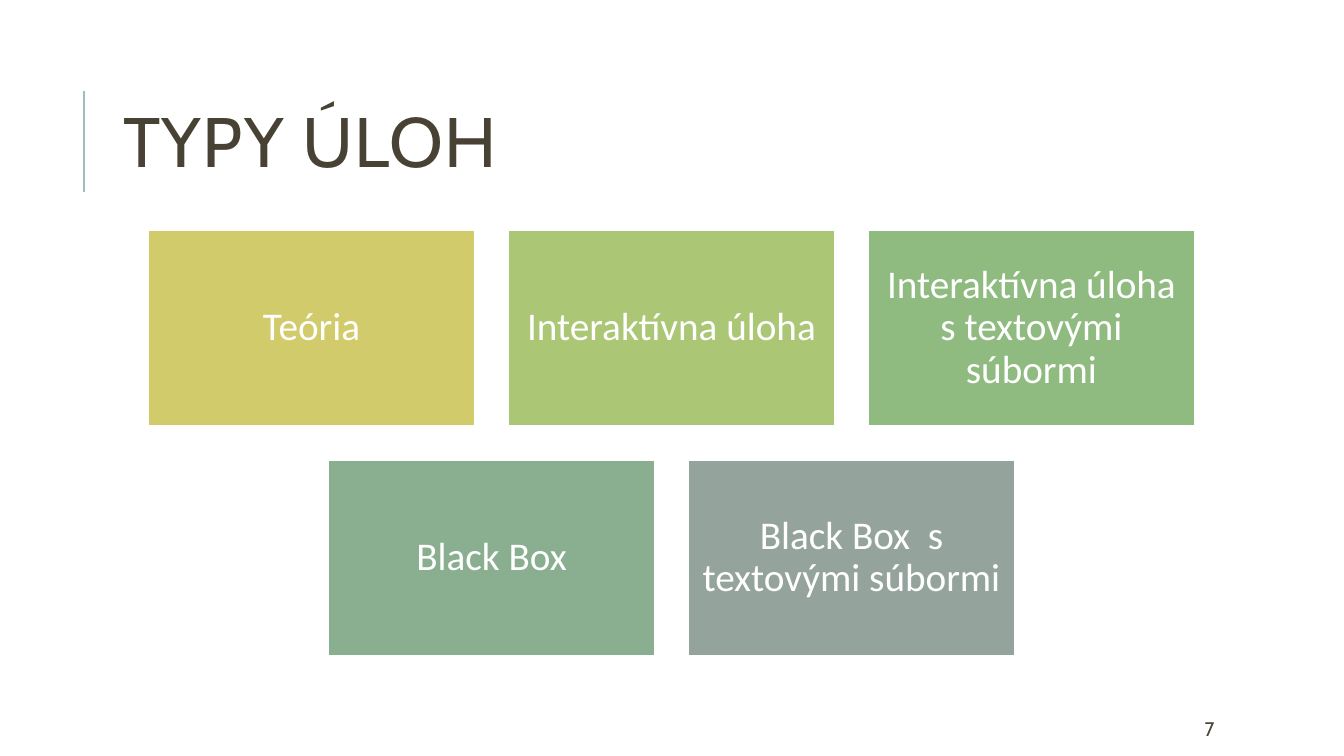
"""Builds the slide on task types: a title over five coloured tiles in two centred rows."""
from dataclasses import dataclass

from lxml.etree import SubElement
from pptx import Presentation
from pptx.dml.color import RGBColor
from pptx.enum.shapes import MSO_CONNECTOR, MSO_SHAPE
from pptx.enum.text import MSO_ANCHOR, PP_ALIGN
from pptx.oxml.ns import qn
from pptx.util import Inches, Pt


@dataclass(frozen=True)
class Theme:
    heading_font: str = "Cabin"
    tile_font: str = "Calibri"
    ink: str = "474233"
    accent: str = "9CBEBD"
    white: str = "FFFFFF"
    title_size: int = 50
    tile_size: int = 28
    number_size: int = 14


def format_text(frame, font, size, color, align, spacing):
    frame.word_wrap = True
    frame.vertical_anchor = MSO_ANCHOR.MIDDLE
    para = frame.paragraphs[0]
    para.alignment = align
    para.line_spacing = spacing
    span = para.runs[0]
    span.font.name = font
    span.font.size = Pt(size)
    span.font.color.rgb = RGBColor.from_string(color)
    return span


theme = Theme()
deck = Presentation()
deck.slide_width, deck.slide_height = Inches(13.33), Inches(7.5)
page = deck.slides.add_slide(deck.slide_layouts[5])

rule = page.shapes.add_connector(
    MSO_CONNECTOR.STRAIGHT, Inches(0.83), Inches(1.9), Inches(0.83), Inches(0.9))
rule.line.color.rgb = RGBColor.from_string(theme.accent)
rule.line.width = Pt(1.5)
SubElement(rule.element.spPr, qn("a:effectLst"))

title = page.shapes.title
title.left, title.top = Inches(1.12), Inches(0.64)
title.width, title.height = Inches(10.63), Inches(1.64)
title.text_frame.text = "TYPY ÚLOH"
span = format_text(title.text_frame, theme.heading_font, theme.title_size,
                   theme.ink, PP_ALIGN.LEFT, 0.8)
span.font._element.set("spc", "100")

tile_rows = [
    [("Teória", "D2CB6C"),
     ("Interaktívna úloha", "ABC776"),
     ("Interaktívna úloha s textovými súbormi", "8FBB80")],
    [("Black Box", "8AAF90"),
     ("Black Box  s textovými súbormi", "95A39D")],
]
tile_width, tile_height, gap = 3.24, 1.95, 0.33
grid_center, grid_top, inset = 6.66, 2.28, Inches(0.12)

for row, tiles in enumerate(tile_rows):
    row_width = len(tiles) * (tile_width + gap) - gap
    row_left = grid_center - row_width / 2
    row_top = grid_top + row * (tile_height + gap)
    for column, (label, color) in enumerate(tiles):
        tile = page.shapes.add_shape(
            MSO_SHAPE.RECTANGLE,
            Inches(row_left + column * (tile_width + gap)), Inches(row_top),
            Inches(tile_width), Inches(tile_height))
        tile.shadow.inherit = False
        tile.fill.solid()
        tile.fill.fore_color.rgb = RGBColor.from_string(color)
        tile.line.color.rgb = RGBColor.from_string(theme.white)
        tile.line.width = Pt(1.25)
        frame = tile.text_frame
        frame.margin_left = frame.margin_right = inset
        frame.margin_top = frame.margin_bottom = inset
        frame.text = label
        format_text(frame, theme.tile_font, theme.tile_size,
                    theme.white, PP_ALIGN.CENTER, 0.9)

number_box = page.shapes.add_textbox(
    Inches(11.85), Inches(7.08), Inches(1.06), Inches(0.3))
number_box.text_frame.text = "7"
format_text(number_box.text_frame, theme.heading_font, theme.number_size,
            theme.ink, PP_ALIGN.LEFT, 1.0)

deck.save("out.pptx")
